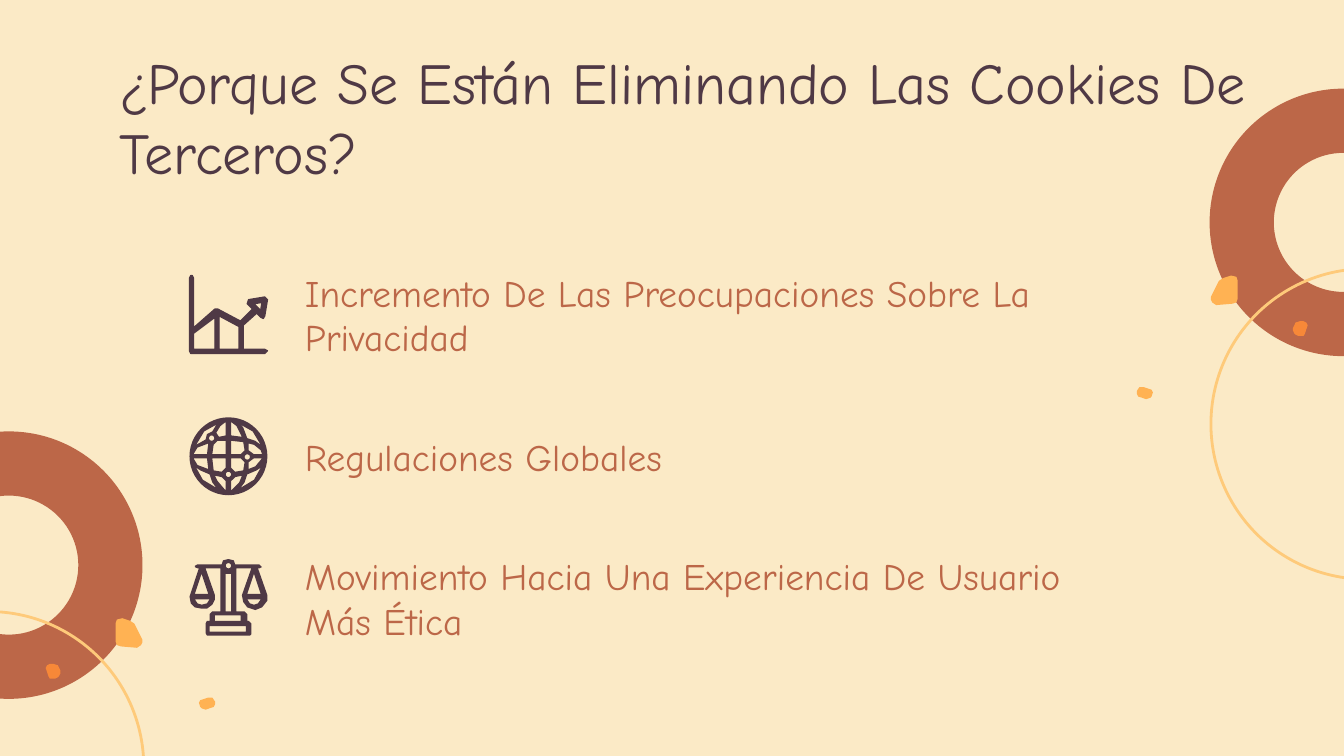
from dataclasses import dataclass
from math import cos, pi, sin

from pptx import Presentation
from pptx.dml.color import RGBColor as RGB
from pptx.enum.shapes import MSO_SHAPE as Form
from pptx.enum.text import MSO_ANCHOR as Anchor
from pptx.util import Inches, Pt


@dataclass
class Theme:
    cream: RGB = RGB.from_string("FBEAC6")
    plum: RGB = RGB.from_string("4F3945")
    rust: RGB = RGB.from_string("BC6748")
    amber: RGB = RGB.from_string("FFB253")
    orange: RGB = RGB.from_string("F78838")
    gold: RGB = RGB.from_string("FECA7A")
    font: str = "Comic Neue"
    head: int = 31
    body: int = 20


theme = Theme()
deck = Presentation()
deck.slide_width, deck.slide_height = Inches(10), Inches(10 * 9 / 16)
slide = deck.slides.add_slide(deck.slide_layouts[6])
slide.background.fill.solid()
slide.background.fill.fore_color.rgb = theme.cream
shapes = slide.shapes


def ring(x, y, radius, count):
    turns = [2 * pi * i / count for i in range(count)]
    return [n for a in turns for n in (x + radius * cos(a), y + radius * sin(a))]


def draw(paths, left, top, color, flip=1):
    pen = None
    for path in paths:
        dots = [
            (Inches(left + flip * x / 100), Inches(top + y / 100))
            for x, y in zip(path[::2], path[1::2])
        ]
        if pen is None:
            pen = shapes.build_freeform(*dots[0], scale=1.0)
        else:
            pen.move_to(*dots[0])
        pen.add_line_segments(dots[1:], close=True)
    shape = pen.convert_to_shape()
    shape.shadow.inherit = False
    shape.fill.solid()
    shape.fill.fore_color.rgb = color
    shape.line.fill.background()
    return shape


wedge = [105, 480, 102, 482, 90, 481, 87, 480, 86, 477, 86, 464, 87, 461,
         91, 460, 97, 462, 100, 464, 106, 476, 106, 478]
seed = [43, 504, 41, 505, 39, 505, 37, 505, 36, 503, 35, 500, 34, 497, 35, 495,
        37, 494, 40, 494, 43, 495, 44, 497, 45, 499, 45, 501, 44, 503]
bean = [159, 526, 156, 527, 153, 528, 150, 527, 149, 526, 148, 523, 149, 521,
        152, 520, 155, 519, 158, 519, 160, 522, 160, 524]

for edge, flip, rise, drop in ((0, 1, 0, 0), (10.07, -1, 2.55, 2.31)):
    mid = edge + flip * 0.07
    donut = shapes.add_shape(
        Form.DONUT, Inches(mid - 1), Inches(3.21 - rise), Inches(1.99), Inches(1.99)
    )
    donut.adjustments[0] = 0.24
    donut.shadow.inherit = False
    donut.fill.solid()
    donut.fill.fore_color.rgb = theme.rust
    donut.line.fill.background()

    draw([wedge], edge, -rise, theme.amber, flip)
    draw([seed], edge, -rise, theme.orange, flip)
    draw([bean], edge - drop / 200, -drop, theme.amber, flip)

    mid = edge - flip * 0.09
    loop = shapes.add_shape(
        Form.OVAL, Inches(mid - 1.15), Inches(4.55 - rise), Inches(2.31), Inches(2.31)
    )
    loop.shadow.inherit = False
    loop.fill.background()
    loop.line.color.rgb = theme.gold
    loop.line.width = Pt(1.5)

trend = [
    [54, 20, 53, 26, 48, 21],
    [19, 31, 19, 55, 3, 55, 3, 43],
    [22, 30, 37, 38, 37, 55, 22, 55],
    [1, 0, 0, 2, 0, 56, 1, 58, 56, 58, 58, 56, 56, 55, 40, 55, 40, 37, 50, 28,
     53, 31, 55, 32, 56, 30, 58, 18, 56, 16, 44, 18, 43, 21, 47, 25, 38, 34,
     21, 25, 19, 25, 3, 39, 3, 2, 2, 0],
]
globe = [
    ring(29, 28.5, 29, 48),
    ring(16.5, 15, 2, 12),
    ring(43, 29, 2, 12),
    ring(29, 42, 2, 12),
    [27, 3, 27, 13, 22, 14, 20, 11, 23, 6],
    [31, 3, 31, 13, 39, 14, 35, 6],
    [20, 5, 17, 10, 13, 12, 12, 16, 5, 20, 11, 10],
    [38, 5, 47, 10, 53, 20, 49, 17, 43, 15, 40, 7],
    [14, 19, 13, 27, 3, 27, 6, 22],
    [27, 17, 27, 27, 17, 27, 18, 20, 21, 17],
    [31, 17, 40, 18, 41, 24, 38, 27, 31, 27],
    [44, 19, 48, 20, 53, 24, 54, 27, 48, 27, 44, 24],
    [54, 30, 49, 36, 44, 38, 44, 33, 48, 30],
    [13, 30, 14, 38, 6, 35, 3, 30],
    [27, 30, 27, 37, 24, 40, 18, 39, 17, 30],
    [38, 30, 41, 33, 40, 39, 34, 40, 31, 37, 31, 30],
    [5, 37, 8, 39, 15, 42, 17, 48, 20, 52, 10, 46],
    [53, 37, 48, 46, 38, 52, 41, 48, 43, 42, 50, 39],
    [19, 43, 24, 44, 27, 47, 27, 54, 21, 47],
    [39, 43, 37, 48, 31, 54, 31, 47, 34, 44],
]
scale = [
    ring(29, 5, 2, 12),
    [9, 11, 14, 26, 4, 26],
    [48, 11, 53, 26, 43, 26],
    [15, 30, 13, 33, 9, 34, 6, 33, 4, 30],
    [53, 30, 51, 33, 48, 34, 45, 33, 43, 30],
    [31, 11, 31, 39, 27, 39, 27, 11],
    [38, 42, 38, 46, 19, 46, 19, 42],
    [42, 50, 42, 54, 15, 54, 15, 50],
    [29, 0, 25, 1, 24, 4, 6, 4, 4, 5, 4, 6, 6, 7, 7, 7, 0, 28, 1, 33, 4, 36,
     9, 37, 13, 37, 17, 34, 19, 30, 19, 27, 12, 7, 23, 7, 23, 39, 17, 39,
     15, 41, 15, 46, 13, 46, 12, 48, 12, 55, 13, 57, 45, 57, 46, 56, 46, 48,
     44, 46, 43, 46, 43, 41, 41, 39, 35, 39, 35, 7, 46, 7, 39, 27, 40, 32,
     43, 36, 49, 38, 54, 36, 58, 31, 58, 27, 51, 7, 52, 7, 54, 6, 52, 4,
     34, 4, 33, 1],
]

texts = [
    ("¿Porque Se Están Eliminando Las Cookies De Terceros?",
     (0.79, 0.32, 8.94, 1.09), theme.head, theme.plum)
]
rows = (
    (trend, 2.05, "Incremento De Las Preocupaciones Sobre La Privacidad"),
    (globe, 3.11, "Regulaciones Globales"),
    (scale, 4.16, "Movimiento Hacia Una Experiencia De Usuario Más Ética"),
)
for icon, top, words in rows:
    mark = draw(icon, 1.41, top, theme.plum)
    if icon is trend:
        mark.line.color.rgb = theme.plum
        mark.line.width = Pt(0.75)
    texts.append((words, (2.17, top, 6.01, 0.58), theme.body, theme.rust))

for words, place, size, color in texts:
    frame = shapes.add_textbox(*map(Inches, place)).text_frame
    frame.word_wrap = True
    frame.vertical_anchor = Anchor.MIDDLE
    frame.margin_left = frame.margin_right = Inches(0.1)
    frame.margin_top = frame.margin_bottom = Inches(0.1)
    frame.text = words
    font = frame.paragraphs[0].runs[0].font
    font.name = theme.font
    font.size = Pt(size)
    font.color.rgb = color

deck.save("out.pptx")
